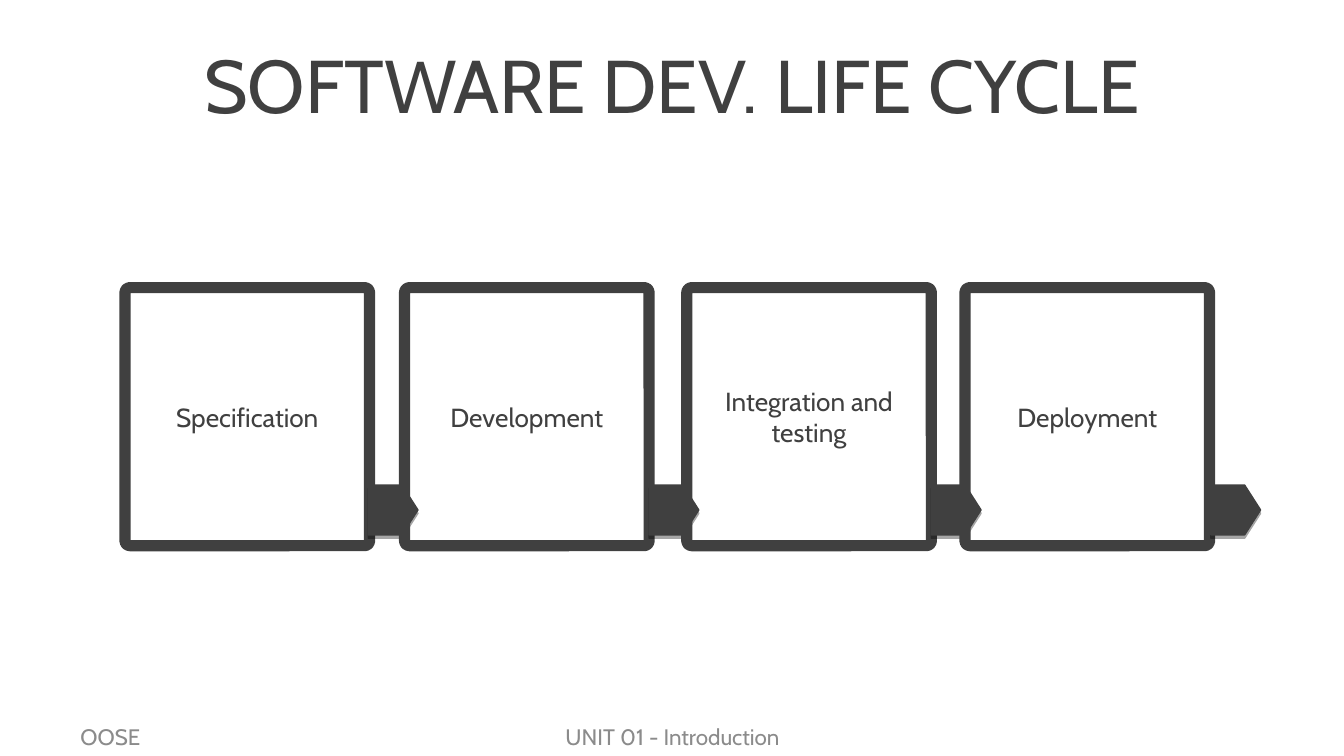
from lxml import etree
from pptx import Presentation
from pptx.dml.color import RGBColor
from pptx.enum.shapes import MSO_SHAPE
from pptx.enum.text import MSO_ANCHOR, PP_ALIGN
from pptx.oxml.ns import qn
from pptx.util import Inches, Pt

DARK = "404040"
GREY = "8B8B8B"


def color(code):
    return RGBColor.from_string(code)


def write(shape, text, size=14, ink=DARK, align=PP_ALIGN.CENTER):
    frame = shape.text_frame
    frame.word_wrap = True
    frame.vertical_anchor = MSO_ANCHOR.MIDDLE
    para = frame.paragraphs[0]
    para.alignment = align
    run = para.add_run()
    run.text = text
    run.font.name = "Cabin"
    run.font.size = Pt(size)
    run.font.color.rgb = color(ink)


deck = Presentation()
deck.slide_width = Inches(10)
deck.slide_height = Inches(10 * 9 / 16)
slide = deck.slides.add_slide(deck.slide_layouts[5])
shapes = slide.shapes

title = shapes.title
title.left, title.top = Inches(0.5), Inches(0.15)
title.width, title.height = Inches(9), Inches(0.94)
write(title, "SOFTWARE DEV. LIFE CYCLE", size=40)

stages = [
    (0.93, 2.74, "Specification"),
    (3.01, 4.83, "Development"),
    (5.11, 6.93, "Integration and testing"),
    (7.18, 9.01, "Deployment"),
]
for left, tip, name in stages:
    box = shapes.add_shape(MSO_SHAPE.ROUNDED_RECTANGLE, Inches(left), Inches(2.14),
                           Inches(1.82), Inches(1.92))
    box.adjustments[0] = 0.02
    box.fill.background()
    box.line.color.rgb = color(DARK)
    box.line.width = Pt(6)
    box.shadow.inherit = False
    write(box, name)

    arrow = shapes.add_shape(MSO_SHAPE.PENTAGON, Inches(tip), Inches(3.61),
                             Inches(0.37), Inches(0.37))
    arrow.adjustments[0] = 0.32
    arrow.fill.solid()
    arrow.fill.fore_color.rgb = color(DARK)
    arrow.line.color.rgb = color(DARK)
    arrow.line.width = Pt(0.75)
    arrow.shadow.inherit = False
    effect = arrow._element.spPr.find(qn("a:effectLst"))
    shade = etree.SubElement(effect, qn("a:outerShdw"), blurRad="0", dist=str(Pt(1.8)),
                             dir="5400000", rotWithShape="0")
    black = etree.SubElement(shade, qn("a:srgbClr"), val="000000")
    etree.SubElement(black, qn("a:alpha"), val="35000")

footers = [
    (0.5, 2.33, "OOSE", PP_ALIGN.LEFT),
    (3.42, 3.17, "UNIT 01 - Introduction", PP_ALIGN.CENTER),
]
for left, wide, text, align in footers:
    note = shapes.add_textbox(Inches(left), Inches(5.33), Inches(wide), Inches(0.3))
    write(note, text, size=12, ink=GREY, align=align)

deck.save("out.pptx")
